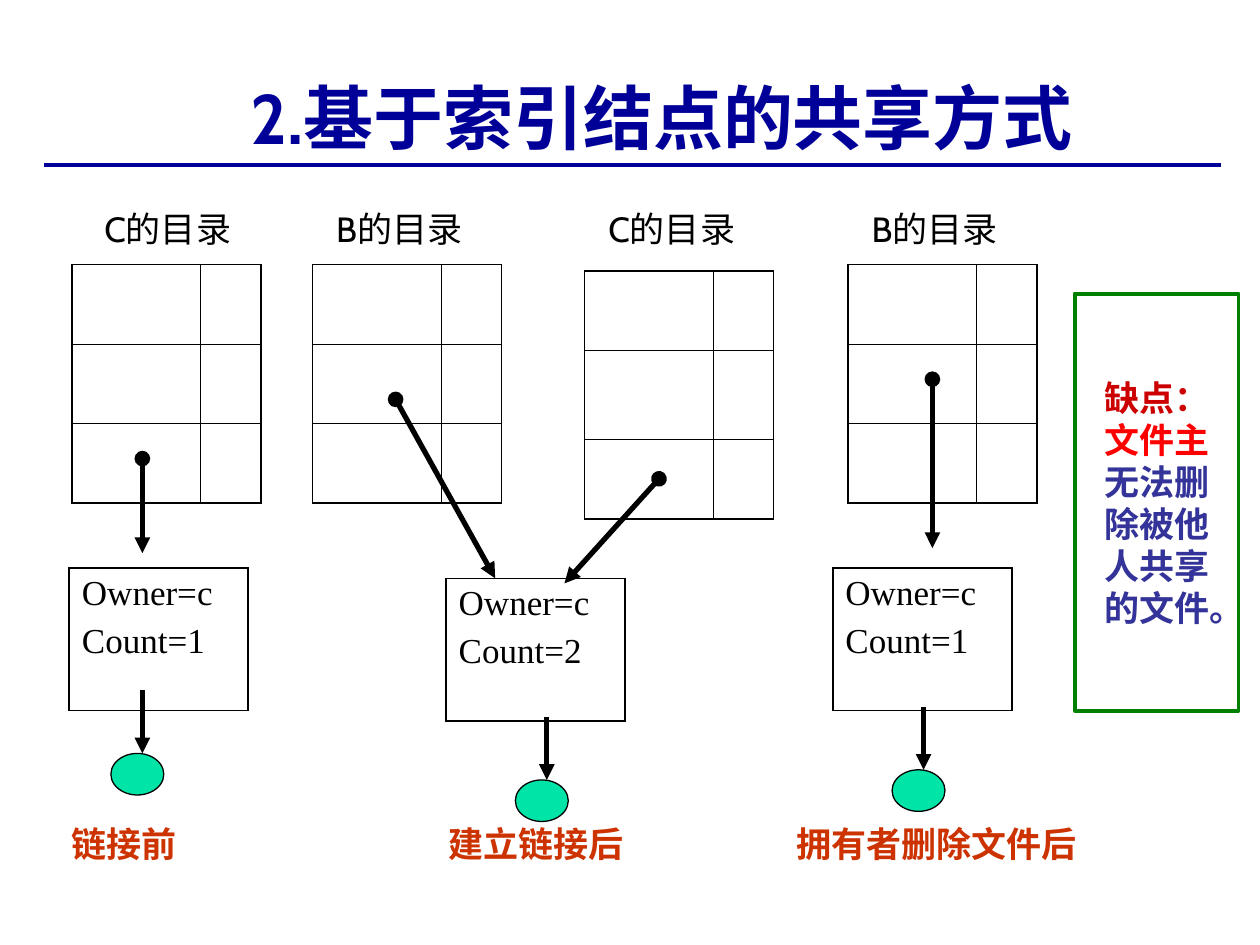
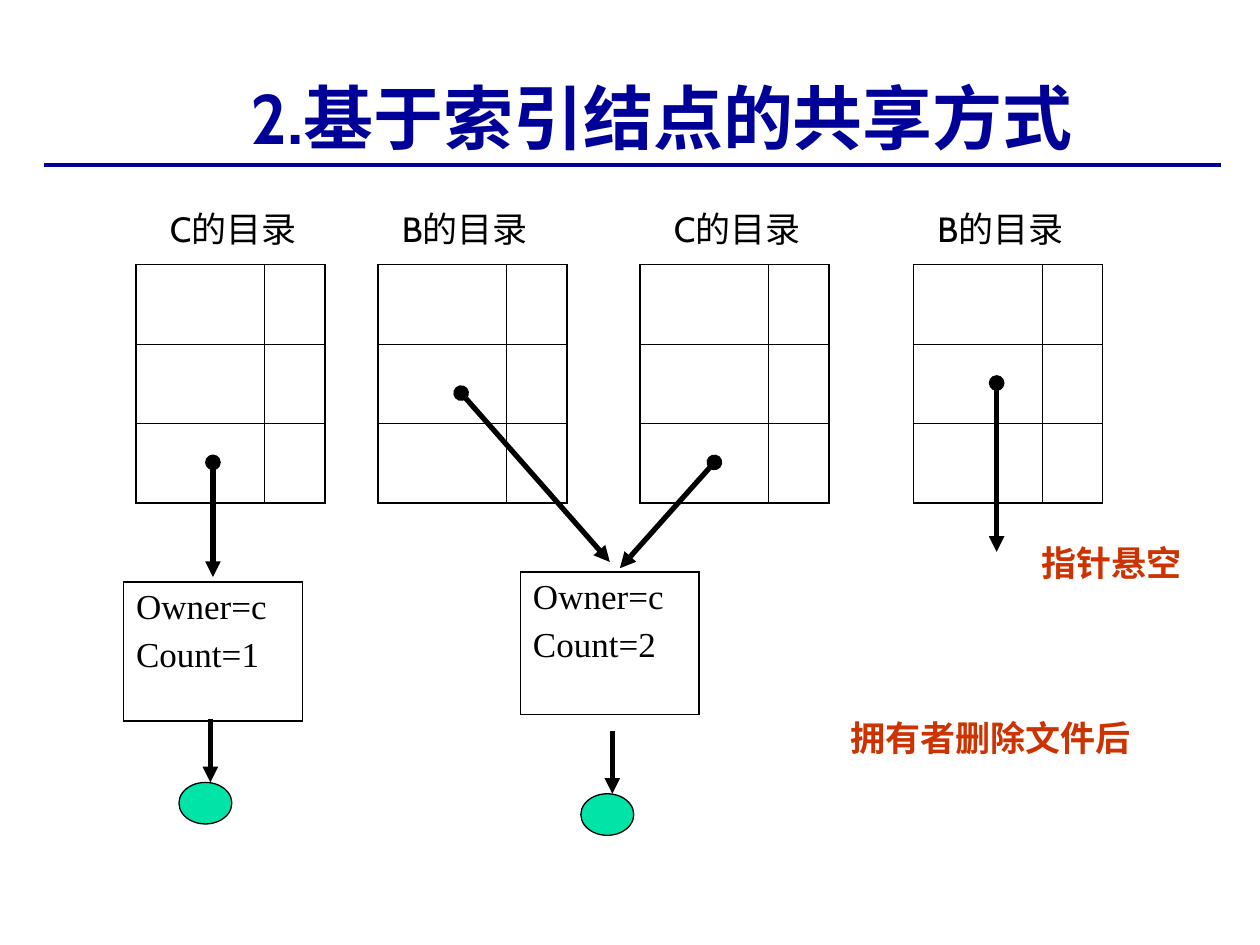
from lxml.etree import SubElement
from pptx import Presentation
from pptx.dml.color import RGBColor
from pptx.enum.shapes import MSO_CONNECTOR, MSO_SHAPE
from pptx.enum.text import MSO_ANCHOR, MSO_AUTO_SIZE, PP_ALIGN
from pptx.oxml.ns import qn
from pptx.util import Inches, Pt

BLACK, NAVY, RUST = "000000", "000099", "CC3300"
GREEN, MINT = "008000", "00E4A8"
SANS, SERIF = "Cabin", "Times New Roman"


def color(code):
    return RGBColor.from_string(code)


class Deck:
    """Draws styled elements on the current slide."""

    def __init__(self):
        self.show = Presentation()
        self.show.slide_width, self.show.slide_height = Inches(10), Inches(7.5)

    def begin(self, title):
        self.slide = self.show.slides.add_slide(self.show.slide_layouts[5])
        self.shapes = self.slide.shapes
        head = self.shapes.title
        head.left, head.top = Inches(0.67), Inches(0)
        head.width, head.height = Inches(9.16), Inches(1.31)
        frame = head.text_frame
        frame.text = title
        frame.auto_size = MSO_AUTO_SIZE.NONE
        frame.vertical_anchor = MSO_ANCHOR.BOTTOM
        frame.paragraphs[0].alignment = PP_ALIGN.CENTER
        self.font(frame.paragraphs[0].runs[0], SANS, NAVY, True, 40)
        self.line((0.35, 1.31), (9.69, 1.31), NAVY, 2.5)

    def font(self, run, name=SANS, code=BLACK, bold=False, size=20):
        run.font.name, run.font.size, run.font.bold = name, Pt(size), bold
        run.font.color.rgb = color(code)

    def line(self, start, end, code=BLACK, width=3, **ends):
        points = [Inches(n) for n in start + end]
        link = self.shapes.add_connector(MSO_CONNECTOR.STRAIGHT, *points)
        link.line.color.rgb, link.line.width = color(code), Pt(width)
        props = link.element.spPr
        for tag, kind in ends.items():
            SubElement(props.find(qn("a:ln")), qn(f"a:{tag}")).set("type", kind)
        SubElement(props, qn("a:effectLst"))

    def pointer(self, start, end):
        self.line(start, end, headEnd="oval", tailEnd="triangle")

    def label(self, text, left, top, width=1.42, code=BLACK, bold=False):
        box = self.shapes.add_textbox(Inches(left), Inches(top), Inches(width), Inches(0.44))
        box.text_frame.word_wrap = True
        box.text_frame.text = text
        self.font(box.text_frame.paragraphs[0].runs[0], SANS, code, bold)

    def note(self, text, left, top, width):
        self.label(text, left, top, width, RUST, True)

    def shape(self, kind, area, fill, edge, width):
        item = self.shapes.add_shape(kind, *[Inches(n) for n in area])
        item.shadow.inherit = False
        if fill:
            item.fill.solid()
            item.fill.fore_color.rgb = color(fill)
        else:
            item.fill.background()
        item.line.color.rgb, item.line.width = color(edge), Pt(width)
        return item

    def grid(self, left, top, cols, rows):
        area = [Inches(n) for n in (left, top, sum(cols), sum(rows))]
        table = self.shapes.add_table(len(rows), len(cols), *area).table
        table.first_row = table.horz_banding = False
        for col, width in zip(table.columns, cols):
            col.width = Inches(width)
        for row, height in zip(table.rows, rows):
            row.height = Inches(height)
        for r in range(len(rows)):
            for c in range(len(cols)):
                cell = table.cell(r, c)
                self.border(cell, L=c == 0, R=c == len(cols) - 1,
                            T=r == 0, B=r == len(rows) - 1)
                cell.fill.background()
        return table

    def border(self, cell, **sides):
        props = cell._tc.get_or_add_tcPr()
        for side, outer in sides.items():
            edge = SubElement(props, qn(f"a:ln{side}"))
            edge.set("w", str(Pt(1.08 if outer else 0.45)))
            fill = SubElement(edge, qn("a:solidFill"))
            SubElement(fill, qn("a:srgbClr")).set("val", BLACK)

    def folders(self, start, tables):
        steps = (0, 1.84, 4, 6.09)
        for name, step, (left, top, middle) in zip("CBCB", steps, tables):
            self.label(f"{name}的目录", start + step, 1.6)
            self.grid(left, top, (1.02, 0.48), (0.63, middle, 0.63))

    def node(self, left, top, count, height=1.13):
        cell = self.grid(left, top, (1.42,), (height,)).cell(0, 0)
        cell.text_frame.text = f"Owner=c\nCount={count}"
        for para in cell.text_frame.paragraphs:
            self.font(para.runs[0], SERIF)
        para.space_before = Pt(5)

    def file(self, x, top):
        self.shape(MSO_SHAPE.OVAL, (x - 0.25, top, 0.42, 0.33), MINT, BLACK, 0.75)
        self.line((x, top - 0.5), (x, top), tailEnd="triangle")

    def callout(self, area, parts):
        box = self.shape(MSO_SHAPE.RECTANGLE, area, None, GREEN, 2.25)
        frame = box.text_frame
        frame.word_wrap, frame.vertical_anchor = True, MSO_ANCHOR.MIDDLE
        para = frame.paragraphs[0]
        para.alignment = PP_ALIGN.CENTER
        for text, code in parts:
            run = para.add_run()
            run.text = text
            self.font(run, SERIF, code, True)


def before(deck):
    deck.folders(0.73, [(0.57, 2.1, 0.63), (2.48, 2.1, 0.63),
                        (4.64, 2.15, 0.71), (6.73, 2.1, 0.63)])
    for left, top, count in ((0.55, 4.51, 1), (3.54, 4.59, 2), (6.61, 4.51, 1)):
        deck.node(left, top, count)
    for start, end in (((1.13, 3.64), (1.13, 4.39)), ((3.14, 3.17), (3.93, 4.59)),
                       ((5.23, 3.8), (4.48, 4.63)), ((7.4, 3.01), (7.4, 4.35))):
        deck.pointer(start, end)
    for x, top in ((1.13, 5.98), (4.34, 6.19), (7.33, 6.11)):
        deck.file(x, top)
    for text, left, width in (("链接前", 0.47, 1.42), ("建立链接后", 3.46, 2.08),
                              ("拥有者删除文件后", 6.22, 2.5)):
        deck.note(text, left, 6.48, width)
    deck.callout((8.53, 2.33, 1.3, 3.31),
                 [("缺点：", "CC0000"), ("文件主", "FF0000"),
                  ("无法删除被他人共享的文件。", "333399")])


def after(deck):
    deck.folders(1.25, [(left, 2.1, 0.63) for left in (1.08, 3, 5.08, 7.25)])
    deck.node(0.98, 4.62, 1, 1.1)
    deck.node(4.13, 4.54, 2)
    for start, end in (((1.69, 3.67), (1.69, 4.58)), ((3.66, 3.12), (4.84, 4.46)),
                       ((5.67, 3.67), (4.92, 4.51)), ((7.91, 3.04), (7.91, 4.38))):
        deck.pointer(start, end)
    deck.file(1.67, 6.21)
    deck.file(4.86, 6.3)
    deck.note("拥有者删除文件后", 6.65, 5.64, 2.5)
    deck.note("指针悬空", 8.17, 4.25, 1.5)


def main():
    deck = Deck()
    for draw in (before, after):
        deck.begin("2.基于索引结点的共享方式")
        draw(deck)
    deck.show.save("out.pptx")


if __name__ == "__main__":
    main()
